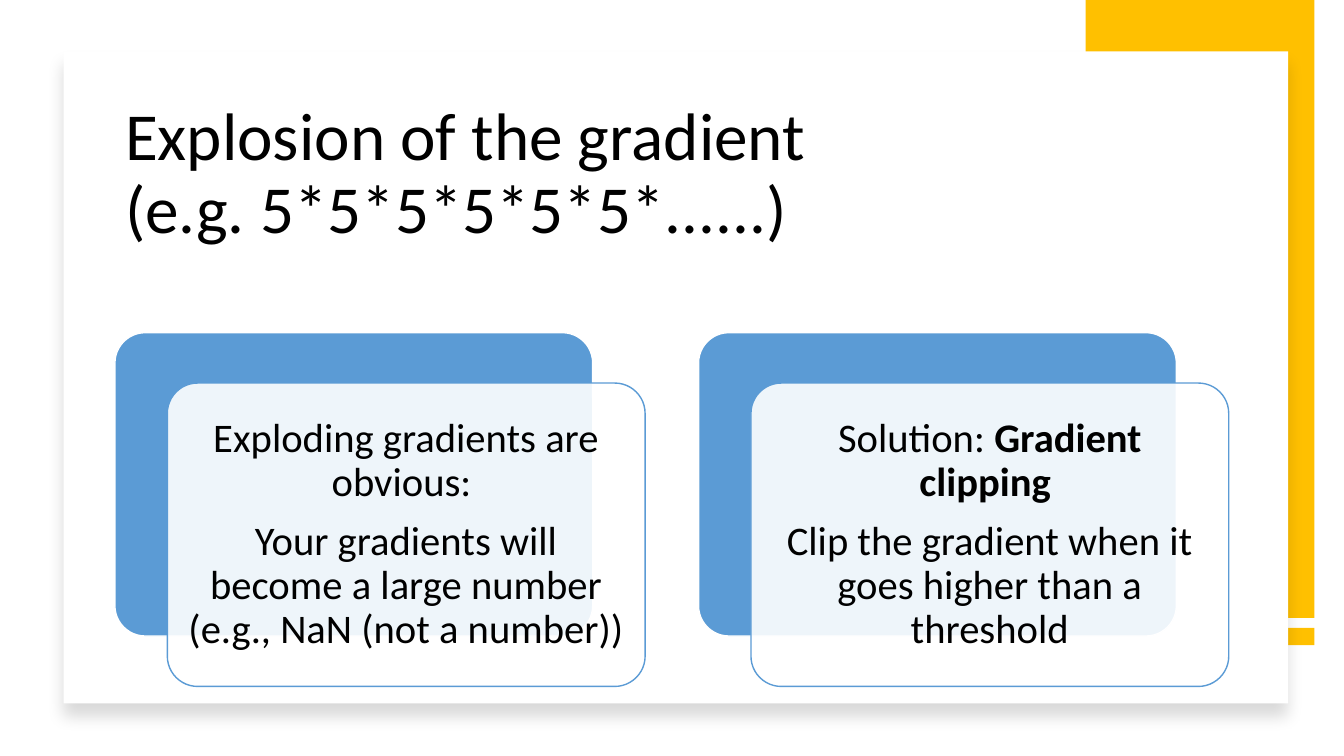
from dataclasses import dataclass

from lxml.etree import SubElement
from pptx import Presentation
from pptx.dml.color import RGBColor
from pptx.enum.shapes import MSO_SHAPE
from pptx.enum.text import MSO_ANCHOR, PP_ALIGN
from pptx.oxml.ns import qn
from pptx.util import Inches, Pt


@dataclass(frozen=True)
class Theme:
    font: str = "Calibri"
    ink: str = "000000"
    paper: str = "FFFFFF"
    accent: str = "FFC000"
    card: str = "5B9BD5"
    title_size: int = 48
    body_size: int = 29
    paragraph_gap: int = 11
    line_spacing: float = 0.9
    columns: int = 160
    rows: int = 90


class SlideBuilder:
    def __init__(self, deck, theme):
        self.deck = deck
        self.theme = theme
        self.page = deck.slides.add_slide(deck.slide_layouts[5])

    def place(self, column, row, columns, rows):
        column_width = self.deck.slide_width / self.theme.columns
        row_height = self.deck.slide_height / self.theme.rows
        return (
            round(column * column_width),
            round(row * row_height),
            round(columns * column_width),
            round(rows * row_height),
        )

    def box(self, area, fill, line=None, kind=MSO_SHAPE.RECTANGLE):
        box = self.page.shapes.add_shape(kind, *self.place(*area))
        box.shadow.inherit = False
        box.fill.solid()
        box.fill.fore_color.rgb = RGBColor.from_string(fill)
        if line:
            box.line.color.rgb = RGBColor.from_string(line)
            box.line.width = Pt(1)
        else:
            box.line.fill.background()
        return box

    def rounded_box(self, area, fill, line):
        box = self.box(area, fill, line, MSO_SHAPE.ROUNDED_RECTANGLE)
        box.adjustments[0] = 0.1
        return box

    def panel(self, area):
        panel = self.box(area, self.theme.paper)
        effects = panel._element.spPr.find(qn("a:effectLst"))
        shadow = SubElement(
            effects, qn("a:outerShdw"), blurRad=str(Pt(11)), dist=str(Pt(10)),
            dir="5400000", algn="t", rotWithShape="0",
        )
        color = SubElement(shadow, qn("a:srgbClr"), val=self.theme.ink)
        SubElement(color, qn("a:alpha"), val="15000")

    def style_span(self, span, size, bold=False):
        span.font.name = self.theme.font
        span.font.size = Pt(size)
        span.font.bold = bold
        span.font.color.rgb = RGBColor.from_string(self.theme.ink)

    def title(self, area, text):
        title = self.page.shapes.title
        title.left, title.top, title.width, title.height = self.place(*area)
        self.page.shapes._spTree.append(title._element)
        frame = title.text_frame
        frame.text = text
        frame.word_wrap = True
        frame.vertical_anchor = MSO_ANCHOR.MIDDLE
        para = frame.paragraphs[0]
        para.alignment = PP_ALIGN.LEFT
        para.line_spacing = self.theme.line_spacing
        for span in para.runs:
            self.style_span(span, self.theme.title_size)

    def card(self, area, paragraphs):
        theme = self.theme
        column, row, columns, rows = area
        self.rounded_box(area, theme.card, theme.paper)
        front_area = (column + 6.24, row + 6, columns, rows)
        front = self.rounded_box(front_area, theme.paper, theme.card)
        color = front._element.spPr.find(qn("a:solidFill"))[0]
        SubElement(color, qn("a:alpha"), val="90000")
        frame = front.text_frame
        frame.word_wrap = True
        frame.vertical_anchor = MSO_ANCHOR.MIDDLE
        frame.margin_left = frame.margin_right = Inches(0.12)
        frame.margin_top = frame.margin_bottom = Inches(0.12)
        for index, spans in enumerate(paragraphs):
            para = frame.add_paragraph() if index else frame.paragraphs[0]
            para.alignment = PP_ALIGN.CENTER
            para.line_spacing = theme.line_spacing
            para.space_after = Pt(theme.paragraph_gap)
            for text, bold in spans:
                span = para.add_run()
                span.text = text
                self.style_span(span, theme.body_size, bold)


CARDS = [
    [
        [("Exploding gradients are obvious: ", False)],
        [("Your gradients will become a large number (e.g., NaN (not a number))", False)],
    ],
    [
        [("Solution: ", False), ("Gradient clipping ", True)],
        [("Clip the gradient when it goes higher than a threshold", False)],
    ],
]


def main():
    deck = Presentation()
    deck.slide_width = Inches(13.33)
    deck.slide_height = Inches(7.5)
    theme = Theme()
    builder = SlideBuilder(deck, theme)
    for row, rows in ((74.76, 2.04), (0, 73.56)):
        builder.box((129.24, row, 27.24, rows), theme.accent)
    builder.panel((7.56, 6.12, 145.8, 77.64))
    builder.title(
        (13.68, 10.68, 133.56, 20.4),
        "Explosion of the gradient\v(e.g. 5*5*5*5*5*5*......)",
    )
    for index, paragraphs in enumerate(CARDS):
        builder.card((13.68 + index * 69.48, 39.6, 56.88, 36.12), paragraphs)
    deck.save("out.pptx")


if __name__ == "__main__":
    main()
